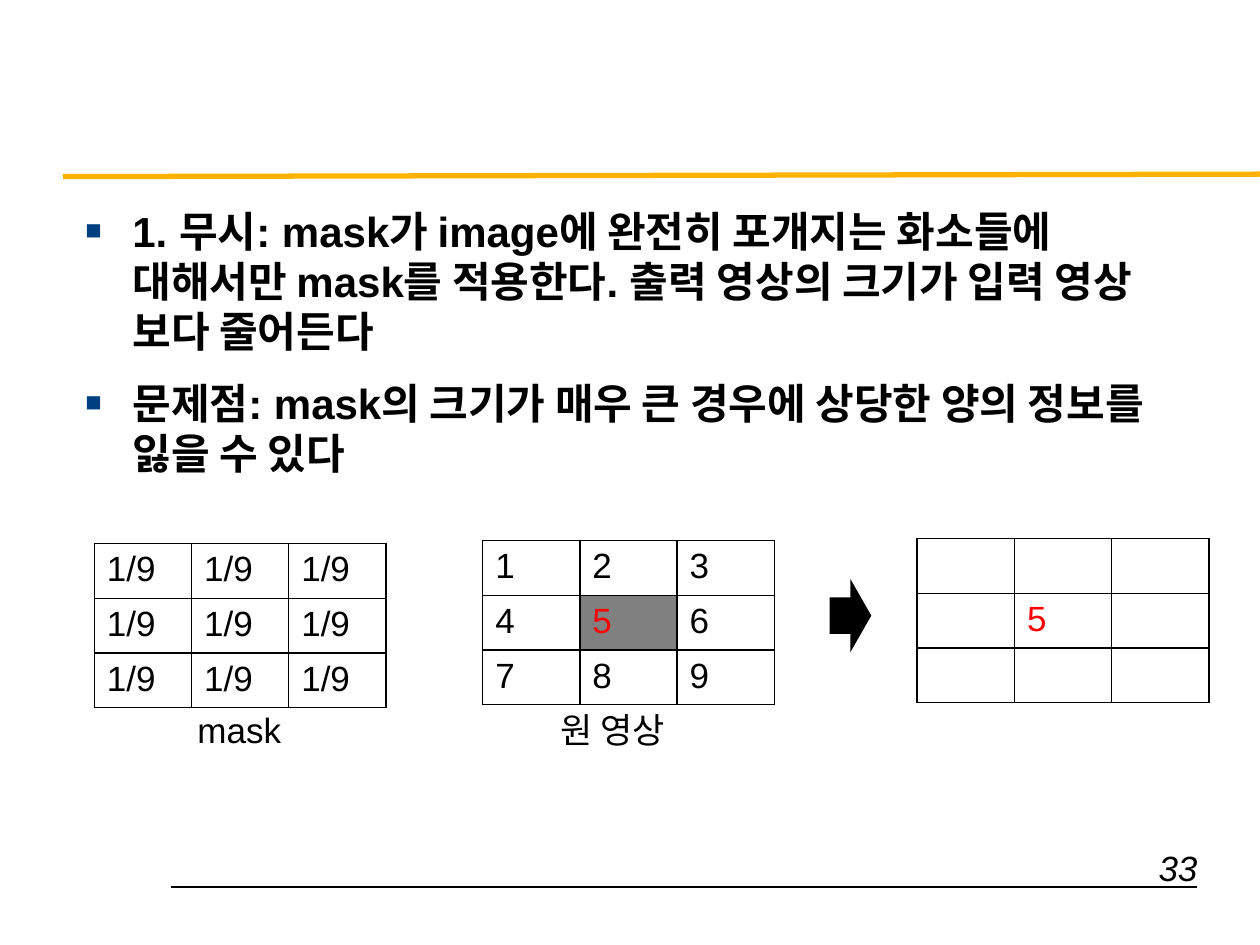
from dataclasses import dataclass
from typing import Optional

from lxml import etree
from pptx import Presentation
from pptx.dml.color import RGBColor
from pptx.enum.shapes import MSO_CONNECTOR, MSO_SHAPE
from pptx.enum.text import PP_ALIGN
from pptx.oxml.ns import qn
from pptx.util import Cm, Pt

STRAIGHT = MSO_CONNECTOR.STRAIGHT
DOWN_ARROW = MSO_SHAPE.DOWN_ARROW
LEFT, RIGHT = PP_ALIGN.LEFT, PP_ALIGN.RIGHT


@dataclass(frozen=True)
class Theme:
    font: str = "Arial"
    ink: str = "000000"
    accent: str = "FFB300"
    bullet: str = "004080"
    result: str = "FF0000"
    center_fill: str = "808080"
    body_size: int = 24
    label_size: int = 20


@dataclass(frozen=True)
class Rule:
    start: tuple[float, float]
    end: tuple[float, float]
    color: str
    width: float


@dataclass(frozen=True)
class Label:
    text: str
    left: float
    top: float
    width: float
    height: float
    wrap: bool = False
    italic: bool = False
    align: PP_ALIGN = LEFT


@dataclass(frozen=True)
class Grid:
    left: float
    top: float
    row_height: float
    values: list[list[str]]
    center_color: str
    center_fill: Optional[str] = None


THEME = Theme()
COLUMN_WIDTH = 1.96

RULES = [
    Rule((3.45, 17.88), (24.13, 17.88), THEME.ink, 0.75),
    Rule((1.27, 3.56), (25.4, 3.51), THEME.accent, 3),
]
BODY = [
    "1. 무시: mask가 image에 완전히 포개지는 화소들에 대해서만 mask를 적용한다. "
    "출력 영상의 크기가 입력 영상 보다 줄어든다",
    "문제점: mask의 크기가 매우 큰 경우에 상당한 양의 정보를 잃을 수 있다",
]
LABELS = [
    Label("mask", 3.73, 14.15, 2.21, 1.12),
    Label("원 영상", 11.05, 14.15, 2.84, 1.12),
    Label("33", 18.85, 16.94, 5.54, 0.97, wrap=True, italic=True, align=RIGHT),
]
GRIDS = [
    Grid(1.9, 10.96, 1.1, [["1/9"] * 3] * 3, THEME.ink),
    Grid(9.73, 10.9, 1.04, [["1", "2", "3"], ["4", "5", "6"], ["7", "8", "9"]],
         THEME.result, THEME.center_fill),
    Grid(18.49, 10.86, 1.1, [[""] * 3, ["", "5", ""], [""] * 3], THEME.result),
]


def write_text(para, text: str, *, size: float = THEME.label_size,
               color: str = THEME.ink, bold: bool = False,
               italic: bool = False, align: PP_ALIGN = LEFT) -> None:
    para.alignment = align
    span = para.add_run()
    span.text = text
    font = span.font
    font.name, font.size = THEME.font, Pt(size)
    font.bold, font.italic = bold, italic
    font.color.rgb = RGBColor.from_string(color)


def add_color(parent, color: str) -> None:
    etree.SubElement(parent, qn("a:srgbClr"), val=color)


def add_bullet(para) -> None:
    props = para._p.get_or_add_pPr()
    props.set("marL", str(Cm(0.95)))
    props.set("indent", str(-Cm(0.95)))
    add_color(etree.SubElement(props, qn("a:buClr")), THEME.bullet)
    etree.SubElement(props, qn("a:buSzPct"), val="65000")
    etree.SubElement(props, qn("a:buFont"), typeface=THEME.font)
    etree.SubElement(props, qn("a:buChar"), char="■")


def draw_body(page) -> None:
    box = page.shapes.add_textbox(Cm(1.47), Cm(4.01), Cm(23.16), Cm(11.53))
    frame = box.text_frame
    frame.word_wrap = True
    for index, text in enumerate(BODY):
        para = frame.add_paragraph() if index else frame.paragraphs[0]
        write_text(para, text, size=THEME.body_size, bold=True)
        para.space_before = Pt(THEME.body_size / 2)
        add_bullet(para)


def draw_rule(page, rule: Rule) -> None:
    line = page.shapes.add_connector(
        STRAIGHT, *(Cm(value) for value in rule.start + rule.end))
    line.line.color.rgb = RGBColor.from_string(rule.color)
    line.line.width = Pt(rule.width)
    etree.SubElement(line._element.spPr, qn("a:effectLst"))


def draw_label(page, label: Label) -> None:
    box = page.shapes.add_textbox(Cm(label.left), Cm(label.top),
                                  Cm(label.width), Cm(label.height))
    box.text_frame.word_wrap = label.wrap
    write_text(box.text_frame.paragraphs[0], label.text,
               italic=label.italic, align=label.align)


def style_cell(cell, fill: Optional[str]) -> None:
    props = cell._tc.get_or_add_tcPr()
    for side in ("a:lnL", "a:lnR", "a:lnT", "a:lnB"):
        border = etree.SubElement(props, qn(side), w=str(Pt(1)))
        add_color(etree.SubElement(border, qn("a:solidFill")), THEME.ink)
    if fill:
        cell.fill.solid()
        cell.fill.fore_color.rgb = RGBColor.from_string(fill)
    else:
        cell.fill.background()


def draw_grid(page, grid: Grid) -> None:
    count = len(grid.values)
    table = page.shapes.add_table(
        count, count, Cm(grid.left), Cm(grid.top),
        Cm(COLUMN_WIDTH * count), Cm(grid.row_height * count)).table
    table.first_row = table.horz_banding = False
    for column in table.columns:
        column.width = Cm(COLUMN_WIDTH)
    for row_index, values in enumerate(grid.values):
        table.rows[row_index].height = Cm(grid.row_height)
        for column_index, value in enumerate(values):
            cell = table.cell(row_index, column_index)
            is_center = row_index == column_index == count // 2
            style_cell(cell, grid.center_fill if is_center else None)
            if value:
                write_text(cell.text_frame.paragraphs[0], value,
                           color=grid.center_color if is_center else THEME.ink)


def draw_arrow(page) -> None:
    arrow = page.shapes.add_shape(DOWN_ARROW, Cm(16.41), Cm(11.99), Cm(1.47), Cm(0.84))
    arrow.rotation = 270
    arrow.shadow.inherit = False
    arrow.fill.solid()
    arrow.fill.fore_color.rgb = RGBColor.from_string(THEME.ink)
    arrow.line.fill.background()


def main() -> None:
    deck = Presentation()
    deck.slide_width, deck.slide_height = Cm(25.4), Cm(19.05)
    page = deck.slides.add_slide(deck.slide_layouts[6])

    # Header and footer rules
    for rule in RULES:
        draw_rule(page, rule)

    # Explanation
    draw_body(page)

    # Mask, source image and result
    for grid in GRIDS:
        draw_grid(page, grid)
    draw_arrow(page)

    # Captions and page number
    for label in LABELS:
        draw_label(page, label)

    deck.save("out.pptx")


if __name__ == "__main__":
    main()
